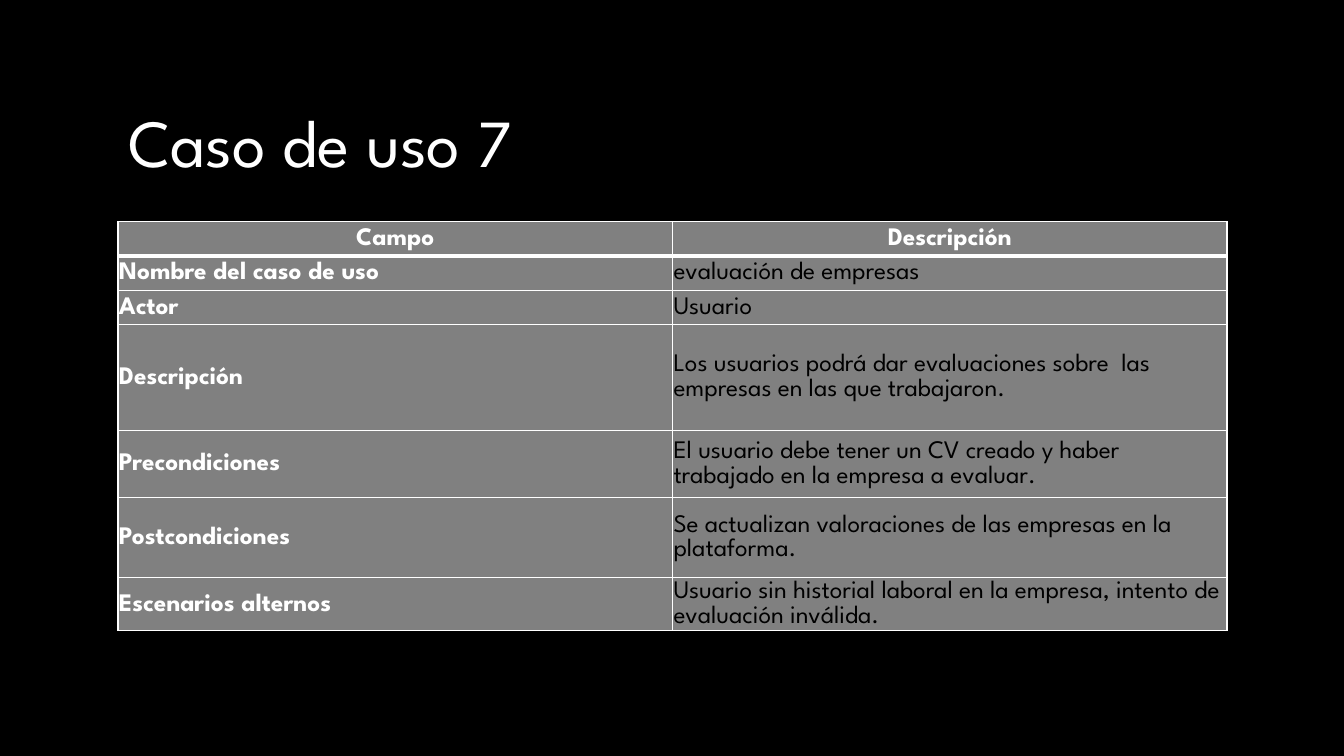
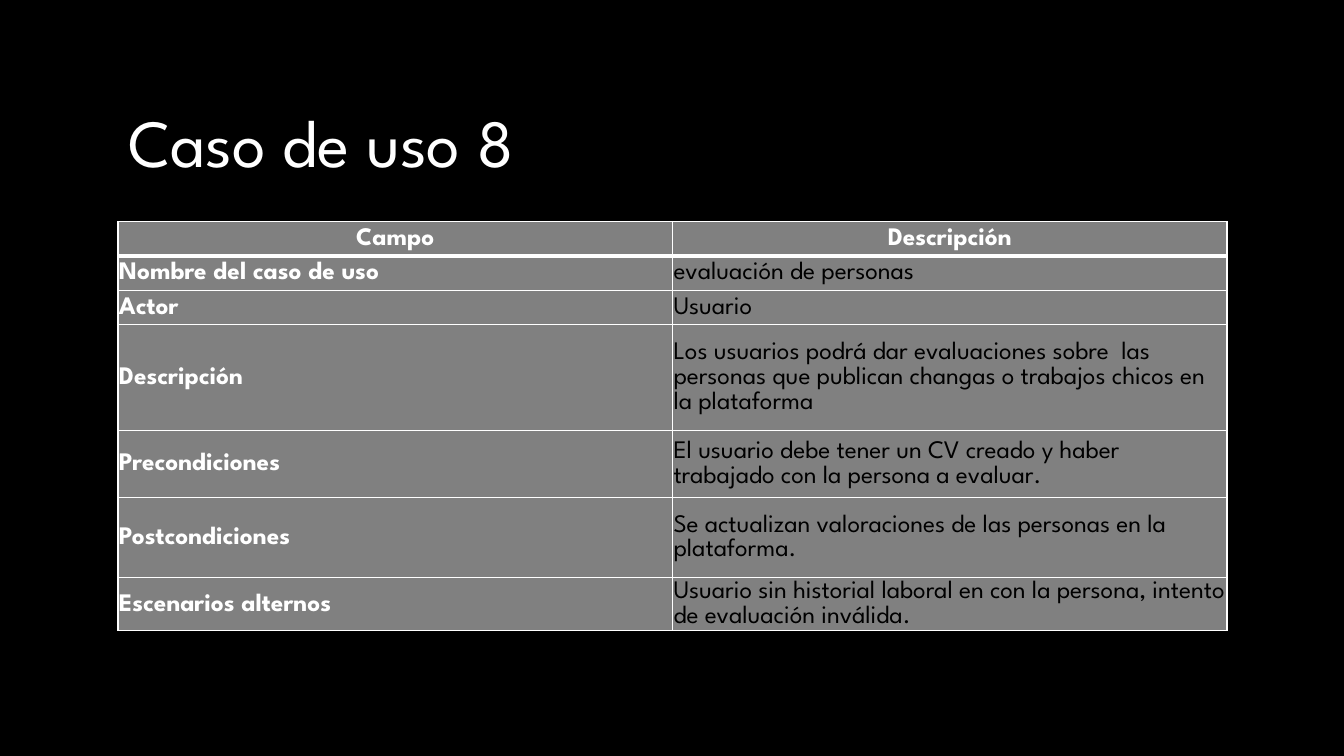
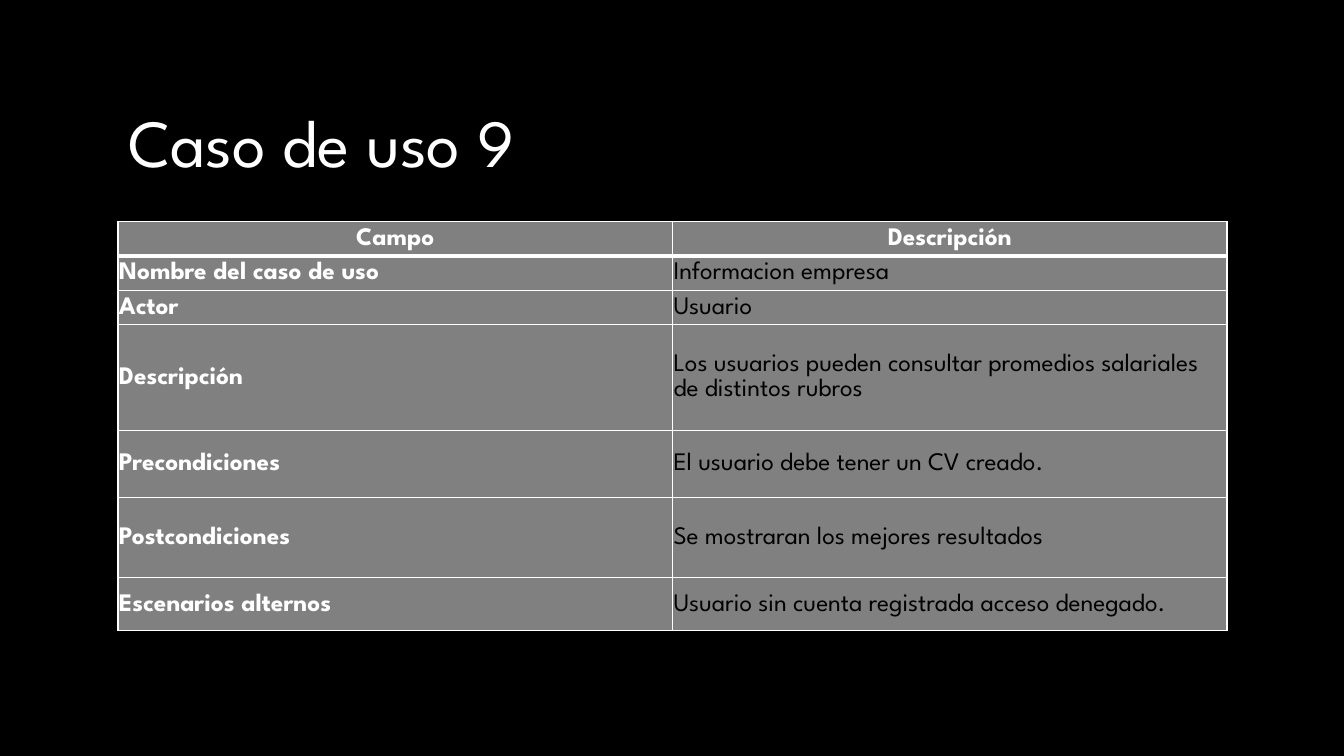
from dataclasses import dataclass

from lxml.etree import SubElement
from pptx import Presentation
from pptx.dml.color import RGBColor
from pptx.enum.text import MSO_ANCHOR, MSO_AUTO_SIZE, PP_ALIGN
from pptx.oxml.ns import qn
from pptx.util import Inches, Pt


@dataclass(frozen=True)
class Theme:
    font: str = "League Spartan"
    background: str = "000000"
    light: str = "FFFFFF"
    dark: str = "000000"
    cell: str = "808080"
    title_size: int = 48
    table_size: int = 18
    border: int = 1
    header_border: int = 3


FIELDS = ("Nombre del caso de uso", "Actor", "Descripción", "Precondiciones",
          "Postcondiciones", "Escenarios alternos")
ROW_HEIGHTS = (0.34, 0.34, 0.34, 1.05, 0.67, 0.79, 0.53)
LEFT, WIDTH = 1.17, 11

USE_CASES = {
    "Caso de uso 7": (
        "evaluación de empresas",
        "Usuario",
        "Los usuarios podrá dar evaluaciones sobre  las empresas en las que trabajaron.",
        "El usuario debe tener un CV creado y haber trabajado en la empresa a evaluar.",
        "Se actualizan valoraciones de las empresas en la plataforma.",
        "Usuario sin historial laboral en la empresa, intento de evaluación inválida.",
    ),
    "Caso de uso 8": (
        "evaluación de personas",
        "Usuario",
        "Los usuarios podrá dar evaluaciones sobre  las personas que publican changas "
        "o trabajos chicos en la plataforma",
        "El usuario debe tener un CV creado y haber trabajado con la persona a evaluar.",
        "Se actualizan valoraciones de las personas en la plataforma.",
        "Usuario sin historial laboral en con la persona, intento de evaluación inválida.",
    ),
    "Caso de uso 9": (
        "Informacion empresa",
        "Usuario",
        "Los usuarios pueden consultar promedios salariales de distintos rubros",
        "El usuario debe tener un CV creado.",
        "Se mostraran los mejores resultados",
        "Usuario sin cuenta registrada acceso denegado.",
    ),
}


class Deck:
    def __init__(self, theme):
        self.theme = theme
        self.prs = Presentation()
        self.prs.slide_width = Inches(13.33)
        self.prs.slide_height = Inches(7.5)
        fill = self.prs.slide_master.background.fill
        fill.solid()
        fill.fore_color.rgb = RGBColor.from_string(theme.background)
        self.slide = None

    def add_slide(self):
        self.slide = self.prs.slides.add_slide(self.prs.slide_layouts[5])

    def add_run(self, p, text, size, color, bold=False):
        r = p.add_run()
        r.text = text
        r.font.name = self.theme.font
        r.font.size = Pt(size)
        r.font.bold = bold
        r.font.color.rgb = RGBColor.from_string(color)

    def add_title(self, text):
        sp = self.slide.shapes.title
        sp.left, sp.top = Inches(LEFT), Inches(0.7)
        sp.width, sp.height = Inches(WIDTH), Inches(1.5)
        tf = sp.text_frame
        tf.word_wrap = True
        tf.auto_size = MSO_AUTO_SIZE.NONE
        tf.vertical_anchor = MSO_ANCHOR.MIDDLE
        p = tf.paragraphs[0]
        p.alignment = PP_ALIGN.LEFT
        p.line_spacing = 0.9
        self.add_run(p, text, self.theme.title_size, self.theme.light)

    def add_table(self, rows):
        frame = self.slide.shapes.add_table(
            len(rows), 2, Inches(LEFT), Inches(2.2),
            Inches(WIDTH), Inches(sum(ROW_HEIGHTS)))
        table = frame.table
        table.horz_banding = False
        for column in table.columns:
            column.width = Inches(WIDTH / 2)
        for i, (height, texts) in enumerate(zip(ROW_HEIGHTS, rows)):
            table.rows[i].height = Inches(height)
            for j, text in enumerate(texts):
                self.fill_cell(table.cell(i, j), text, i, j)

    def fill_cell(self, cell, text, row, column):
        theme = self.theme
        heading = row == 0 or column == 0
        cell.margin_left = cell.margin_right = Inches(0.01)
        cell.margin_top = cell.margin_bottom = Inches(0.01)
        cell.vertical_anchor = MSO_ANCHOR.MIDDLE
        p = cell.text_frame.paragraphs[0]
        p.alignment = PP_ALIGN.CENTER if row == 0 else PP_ALIGN.LEFT
        p.line_spacing = 1.07
        p.space_after = Pt(8)
        self.add_run(p, text, theme.table_size,
                     theme.light if heading else theme.dark, heading)
        self.add_borders(cell, {
            "L": theme.border,
            "R": theme.border,
            "T": theme.header_border if row == 1 else theme.border,
            "B": theme.header_border if row == 0 else theme.border,
        })
        cell.fill.solid()
        cell.fill.fore_color.rgb = RGBColor.from_string(theme.cell)

    def add_borders(self, cell, widths):
        props = cell._tc.get_or_add_tcPr()
        for side, width in widths.items():
            line = SubElement(props, qn(f"a:ln{side}"), w=str(Pt(width)))
            fill = SubElement(line, qn("a:solidFill"))
            SubElement(fill, qn("a:srgbClr"), val=self.theme.light)


def main():
    deck = Deck(Theme())
    for title, descriptions in USE_CASES.items():
        deck.add_slide()
        deck.add_title(title)
        deck.add_table([("Campo", "Descripción"), *zip(FIELDS, descriptions)])
    deck.prs.save("out.pptx")


if __name__ == "__main__":
    main()
